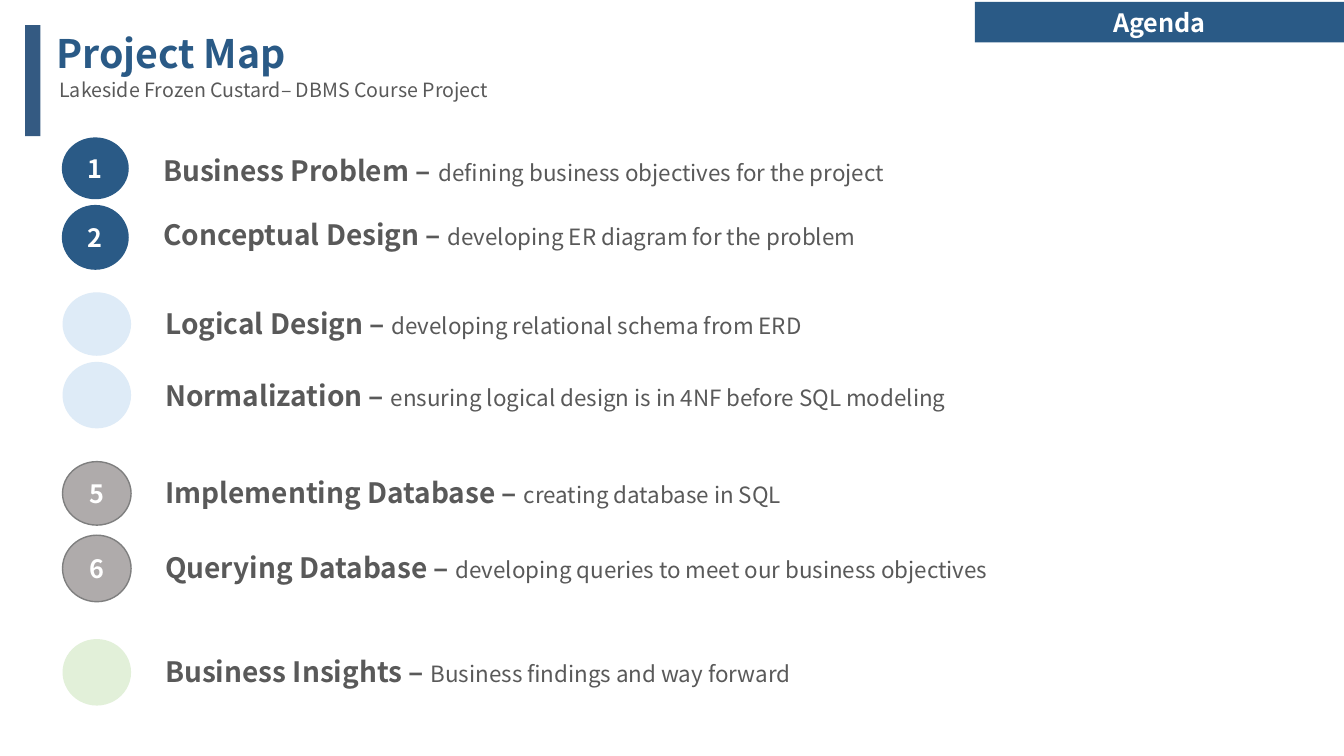
from collections import namedtuple

from pptx import Presentation
from pptx.dml.color import RGBColor
from pptx.enum.shapes import MSO_SHAPE
from pptx.enum.text import MSO_ANCHOR, MSO_AUTO_SIZE, PP_ALIGN
from pptx.util import Emu, Pt

PX = 9144
TITLE_ONLY = 5
FONT = "Noto Sans CJK KR"
NAVY = RGBColor(0x2A, 0x5A, 0x86)
ACCENT = RGBColor(0x34, 0x5A, 0x82)
PALE_BLUE = RGBColor(0xDE, 0xEB, 0xF7)
GRAY = RGBColor(0xAF, 0xAB, 0xAB)
GRAY_LINE = RGBColor(0x7F, 0x7F, 0x7F)
PALE_GREEN = RGBColor(0xE2, 0xF0, 0xD9)
TEXT = RGBColor(0x59, 0x59, 0x59)
WHITE = RGBColor(0xFF, 0xFF, 0xFF)

Badge = namedtuple("Badge", "box fill line number", defaults=(None, ""))
Step = namedtuple("Step", "badge label_box name detail gap_size", defaults=(20,))

STEPS = [
    Step(Badge((62, 137, 65, 60), NAVY, NAVY, "1"), (152, 142, 878, 50),
         "Business Problem –", "defining business objectives for the project", 24),
    Step(Badge((62, 204, 65, 63), NAVY, NAVY, "2"), (152, 211, 742, 44),
         "Conceptual Design –", "developing ER diagram for the problem"),
    Step(Badge((62, 290, 68, 63), PALE_BLUE), (154, 299, 742, 44),
         "Logical Design –", "developing relational schema from ERD"),
    Step(Badge((62, 359, 68, 66), PALE_BLUE), (154, 371, 853, 44),
         "Normalization –", "ensuring logical design is in 4NF before SQL modeling"),
    Step(Badge((62, 458, 68, 63), GRAY, GRAY_LINE, "5"), (154, 467, 742, 44),
         "Implementing Database –", "creating database in SQL"),
    Step(Badge((62, 531, 68, 66), GRAY, GRAY_LINE, "6"), (154, 541, 853, 44),
         "Querying Database –", "developing queries to meet our business objectives"),
    Step(Badge((62, 634, 68, 66), PALE_GREEN), (154, 644, 853, 44),
         "Business Insights –", "Business findings and way forward"),
]


def px(*lengths):
    """Turn pixel lengths into EMU."""
    return [Emu(length * PX) for length in lengths]


def add_text(shape, text, size=18, color=WHITE, bold=False, align=PP_ALIGN.LEFT):
    """Append a formatted run to the first paragraph of a shape."""
    paragraph = shape.text_frame.paragraphs[0]
    paragraph.alignment = align
    run = paragraph.add_run()
    run.text = text
    run.font.name = FONT
    run.font.size = Pt(size)
    run.font.bold = bold
    run.font.color.rgb = color


def set_frame(shape, anchor=MSO_ANCHOR.TOP, auto_size=MSO_AUTO_SIZE.SHAPE_TO_FIT_TEXT):
    """Set wrapping, anchor and sizing of a text frame."""
    frame = shape.text_frame
    frame.word_wrap = True
    frame.vertical_anchor = anchor
    frame.auto_size = auto_size


def add_title(slide, text, box):
    """Place and format the title placeholder."""
    title = slide.shapes.title
    title.left, title.top, title.width, title.height = px(*box)
    set_frame(title)
    add_text(title, text, size=28, color=NAVY, bold=True)


def add_label(slide, box):
    """Add an empty wrapping text box."""
    label = slide.shapes.add_textbox(*px(*box))
    set_frame(label)
    return label


def add_block(slide, kind, box, fill, line=None):
    """Add a flat filled shape, outlined when a line colour is given."""
    shape = slide.shapes.add_shape(kind, *px(*box))
    shape.shadow.inherit = False
    shape.fill.solid()
    shape.fill.fore_color.rgb = fill
    if line is None:
        shape.line.fill.background()
    else:
        shape.line.color.rgb = line
        shape.line.width = Pt(1)
    return shape


def add_badge(slide, badge):
    """Add a round badge, with its number when it has one."""
    circle = add_block(slide, MSO_SHAPE.OVAL, badge.box, badge.fill, badge.line)
    if badge.number:
        set_frame(circle, MSO_ANCHOR.MIDDLE, MSO_AUTO_SIZE.NONE)
        add_text(circle, badge.number, bold=True, align=PP_ALIGN.CENTER)


def add_step(slide, step):
    """Add one badge with its label."""
    add_badge(slide, step.badge)
    label = add_label(slide, step.label_box)
    add_text(label, step.name, size=20, color=TEXT, bold=True)
    add_text(label, " ", size=step.gap_size, color=TEXT, bold=True)
    add_text(label, step.detail, size=16, color=TEXT)


def main():
    """Build the project map slide."""
    presentation = Presentation()
    presentation.slide_width, presentation.slide_height = px(1333, 750)
    slide = presentation.slides.add_slide(presentation.slide_layouts[TITLE_ONLY])

    add_title(slide, "Project Map", (46, 24, 1287, 57))
    subtitle = add_label(slide, (49, 72, 1251, 34))
    add_text(subtitle, "Lakeside Frozen Custard– DBMS Course Project", size=14, color=TEXT)
    add_block(slide, MSO_SHAPE.RECTANGLE, (25, 25, 15, 110), ACCENT)

    banner = add_block(slide, MSO_SHAPE.RECTANGLE, (967, 2, 366, 40), NAVY)
    set_frame(banner)
    add_text(banner, "Agenda", bold=True, align=PP_ALIGN.CENTER)

    for step in STEPS:
        add_step(slide, step)

    presentation.save("out.pptx")


if __name__ == "__main__":
    main()
